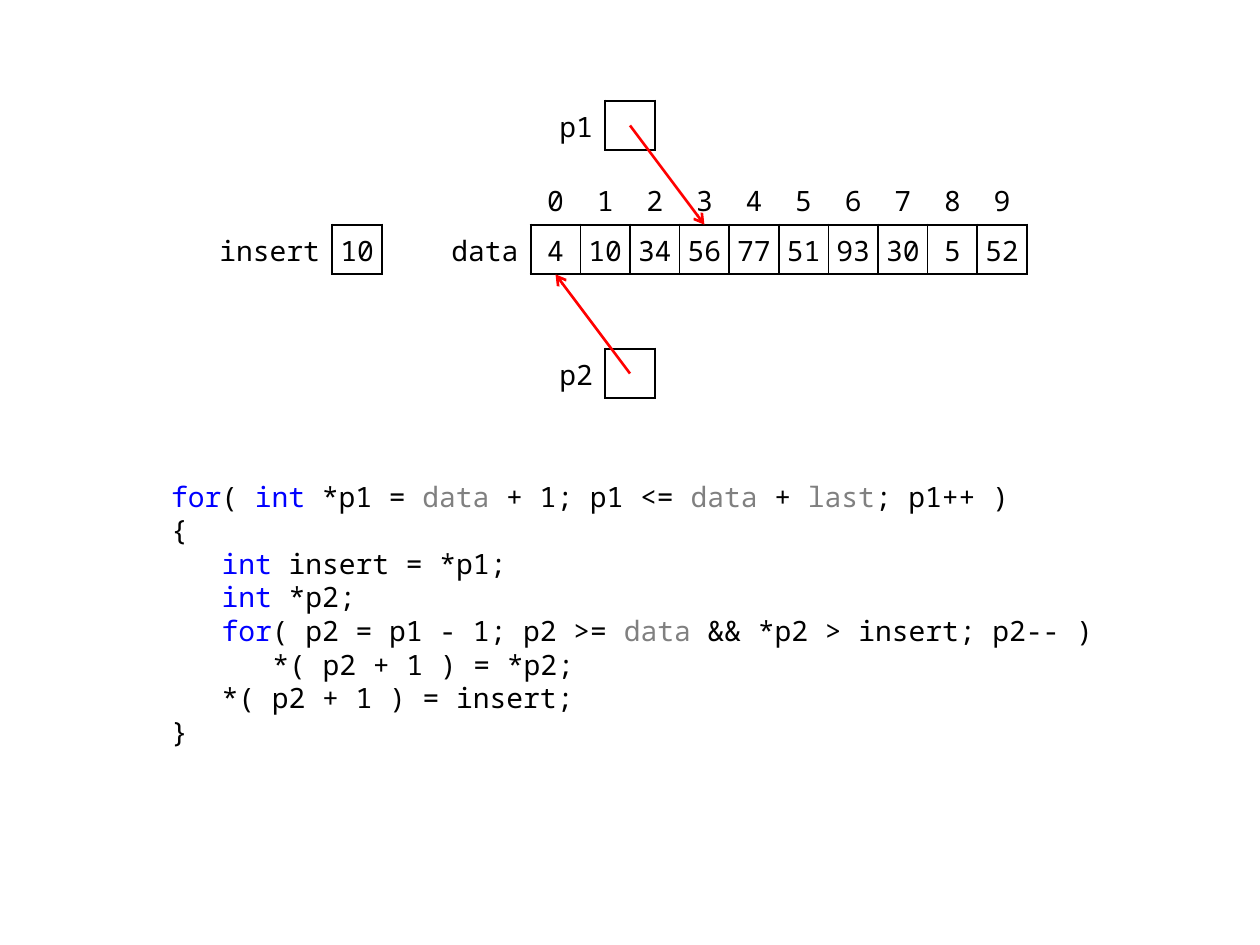
from lxml.etree import SubElement
from pptx import Presentation
from pptx.dml.color import RGBColor
from pptx.enum.shapes import MSO_CONNECTOR
from pptx.enum.text import MSO_ANCHOR, MSO_AUTO_SIZE, PP_ALIGN
from pptx.oxml.ns import qn
from pptx.util import Cm, Pt

THEME = {
    "font": "Noto Sans Mono",
    "size": 16,
    "leading": 19.2,
    "ink": "000000",
    "keyword": "0000FF",
    "outer": "808080",
    "arrow": "FF0000",
    "paper": "FFFFFF",
    "frame": 1.5,
    "divider": 1,
}
ROLES = {"for": "keyword", "int": "keyword", "data": "outer", "last": "outer"}

CODE = [
    (0, "for|( |int| *p1 = |data| + 1; p1 <= |data| + |last|; p1++ )"),
    (0, "{"),
    (1, "int| insert = *p1;"),
    (1, "int| *p2;"),
    (1, "for|( p2 = p1 - 1; p2 >= |data| && *p2 > insert; p2-- )"),
    (2, "*( p2 + 1 ) = *p2;"),
    (1, "*( p2 + 1 ) = insert;"),
    (0, "}"),
]
DATA = [4, 10, 34, 56, 77, 51, 93, 30, 5, 52]
VARIABLES = [
    ("insert", "10", 4.2, 4.53, 2.5),
    ("p1", "", 10.7, 2.03, 1.5),
    ("p2", "", 10.7, 7.03, 1.5),
]
CELL = 1
ARRAY_LEFT, ARRAY_TOP, ARRAY_LABEL = 8.7, 3.53, 2
POINTER_X = 12.7
ARROWS = [(2.53, 3, 4.53), (7.53, 0, 5.53)]
INDENT = 1.02


def add_span(para, text, role="ink"):
    span = para.add_run()
    span.text = text
    formats = {"name": THEME["font"], "size": Pt(THEME["size"])}
    for name, value in formats.items():
        setattr(span.font, name, value)
    span.font.color.rgb = RGBColor.from_string(THEME[role])


def fill_cell(cell, text, label=False, borders=None, white=False):
    side = 0.25 if label else 0
    formats = {
        "margin_left": Cm(0 if text == "insert" else side),
        "margin_right": Cm(side),
        "margin_top": Cm(0.1 if text and borders or label else 0),
        "margin_bottom": Cm(0.05 if text and borders or label else 0),
        "vertical_anchor": MSO_ANCHOR.MIDDLE,
    }
    for name, value in formats.items():
        setattr(cell, name, value)
    para = cell.text_frame.paragraphs[0]
    para.alignment = PP_ALIGN.RIGHT if label else PP_ALIGN.CENTER
    if text:
        add_span(para, text)
    properties = cell._tc.get_or_add_tcPr()
    for edge in "LRTB":
        width = (borders or {}).get(edge)
        if width:
            line = SubElement(properties, qn(f"a:ln{edge}"), w=str(Pt(width)))
            solid = SubElement(line, qn("a:solidFill"))
            SubElement(solid, qn("a:srgbClr"), val=THEME["ink"])
    if white:
        cell.fill.solid()
        cell.fill.fore_color.rgb = RGBColor.from_string(THEME["paper"])
    else:
        cell.fill.background()


def add_grid(page, left, top, widths, rows):
    frame = page.shapes.add_table(
        rows, len(widths), Cm(left), Cm(top), Cm(sum(widths)), Cm(rows * CELL)
    )
    table = frame.table
    table.first_row = table.horz_banding = False
    style = table._tbl.tblPr.find(qn("a:tableStyleId"))
    style.text = "{2D5ABB26-0587-4C30-8999-92F81FD0307C}"
    for column, width in zip(table.columns, widths):
        column.width = Cm(width)
    for row in table.rows:
        row.height = Cm(CELL)
    return table


def add_variable(page, name, value, left, top, label_width):
    table = add_grid(page, left, top, [label_width, CELL], 1)
    frame = THEME["frame"]
    fill_cell(table.cell(0, 0), name, label=True, borders={"R": frame})
    fill_cell(table.cell(0, 1), value, borders=dict.fromkeys("LRTB", frame))


def add_array(page):
    widths = [ARRAY_LABEL] + [CELL] * len(DATA)
    table = add_grid(page, ARRAY_LEFT, ARRAY_TOP, widths, 2)
    frame, divider = THEME["frame"], THEME["divider"]
    fill_cell(table.cell(0, 0), "")
    fill_cell(table.cell(1, 0), "data", label=True, borders={"R": frame}, white=True)
    for index, value in enumerate(DATA):
        borders = {
            "L": divider if index else frame,
            "R": divider if index < len(DATA) - 1 else frame,
            "T": frame,
            "B": frame,
        }
        fill_cell(table.cell(0, index + 1), str(index), borders={"B": frame})
        fill_cell(table.cell(1, index + 1), str(value), borders=borders, white=True)


def add_code(page):
    box = page.placeholders[1]
    place = {"left": 3.2, "top": 9.53, "width": 19, "height": 6}
    for name, value in place.items():
        setattr(box, name, Cm(value))
    frame = box.text_frame
    formats = {
        "margin_left": Cm(0.25),
        "margin_right": Cm(0),
        "margin_top": Cm(0.13),
        "margin_bottom": Cm(0.13),
        "word_wrap": True,
        "auto_size": MSO_AUTO_SIZE.NONE,
        "vertical_anchor": MSO_ANCHOR.TOP,
    }
    for name, value in formats.items():
        setattr(frame, name, value)
    for number, (depth, line) in enumerate(CODE):
        para = frame.add_paragraph() if number else frame.paragraphs[0]
        para.space_before = Pt(0)
        para.line_spacing = Pt(THEME["leading"])
        properties = para._p.get_or_add_pPr()
        properties.set("marL", str(Cm(depth * INDENT)))
        properties.set("indent", "0")
        SubElement(properties, qn("a:buNone"))
        for text in line.split("|"):
            add_span(para, text, ROLES.get(text, "ink"))


def add_arrow(page, start_y, index, end_y):
    end_x = ARRAY_LEFT + ARRAY_LABEL + (index + 0.5) * CELL
    arrow = page.shapes.add_connector(
        MSO_CONNECTOR.STRAIGHT, Cm(POINTER_X), Cm(start_y), Cm(end_x), Cm(end_y)
    )
    arrow.line.color.rgb = RGBColor.from_string(THEME["arrow"])
    arrow.line.width = Pt(THEME["frame"])
    SubElement(arrow.line._get_or_add_ln(), qn("a:tailEnd"), type="arrow")
    SubElement(arrow._element.spPr, qn("a:effectLst"))


def main():
    deck = Presentation()
    deck.slide_width, deck.slide_height = Cm(25.4), Cm(19.05)
    page = deck.slides.add_slide(deck.slide_layouts[1])
    title = page.shapes.title._element
    title.getparent().remove(title)
    add_code(page)
    add_array(page)
    for variable in VARIABLES:
        add_variable(page, *variable)
    for arrow in ARROWS:
        add_arrow(page, *arrow)
    deck.save("out.pptx")


if __name__ == "__main__":
    main()
